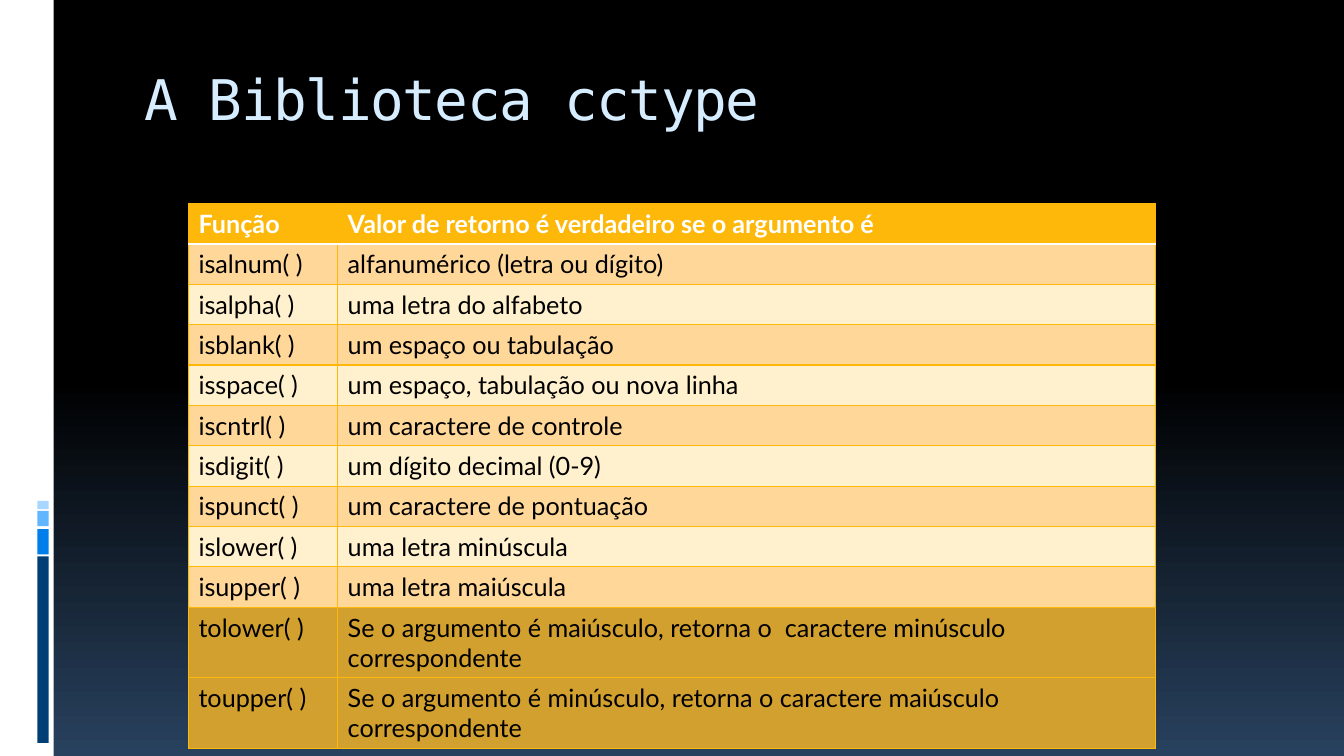
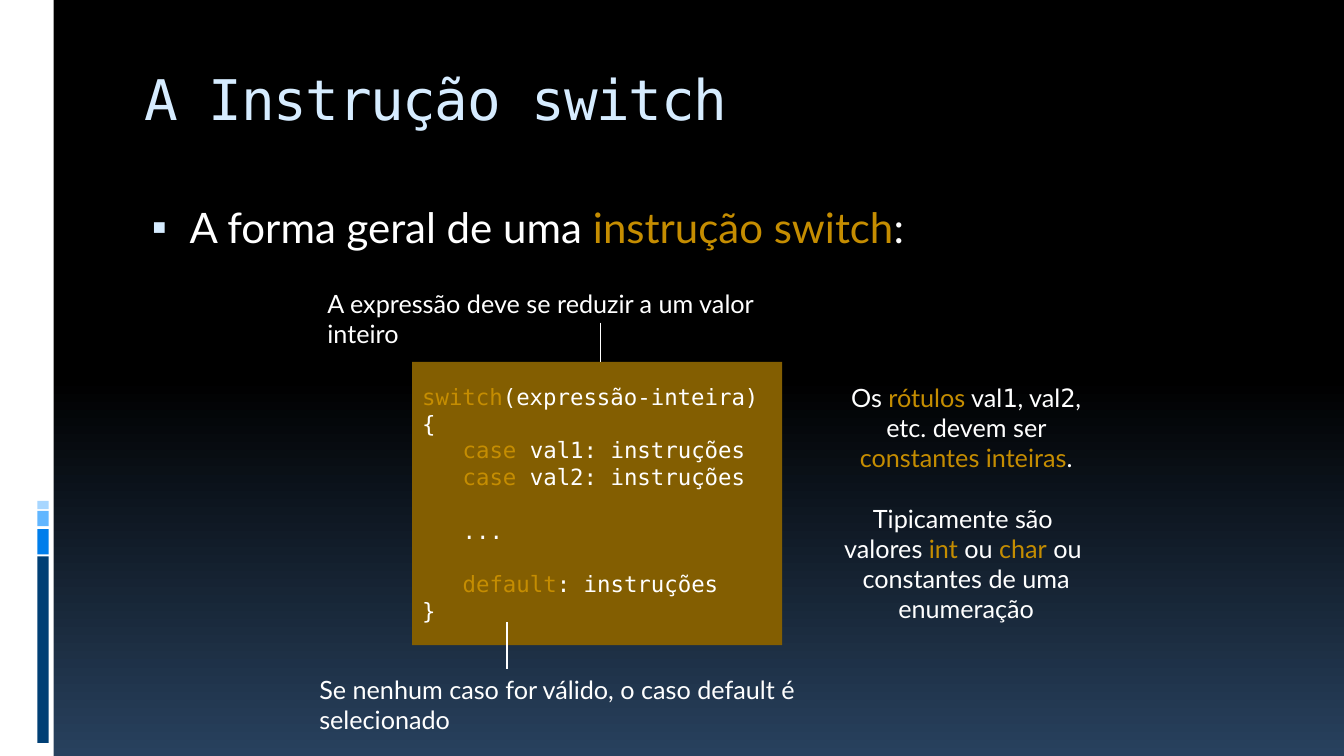
from lxml.etree import SubElement
from pptx import Presentation
from pptx.dml.color import RGBColor
from pptx.enum.shapes import MSO_CONNECTOR, MSO_SHAPE
from pptx.enum.text import MSO_ANCHOR, PP_ALIGN
from pptx.oxml.ns import qn
from pptx.util import Pt

WHITE = RGBColor(0xFF, 0xFF, 0xFF)
BLACK = RGBColor(0x00, 0x00, 0x00)
NIGHT_BLUE = RGBColor(0x28, 0x41, 0x5E)
PALE_BLUE = RGBColor(0xD6, 0xEC, 0xFF)
GOLD = RGBColor(0xC5, 0x8D, 0x01)
DARK_GOLD = RGBColor(0x83, 0x5E, 0x01)
AMBER = RGBColor(0xFE, 0xB8, 0x0A)
BAND_ORANGE = RGBColor(0xFF, 0xD7, 0x98)
BAND_CREAM = RGBColor(0xFF, 0xF1, 0xCE)
BAND_OCHRE = RGBColor(0xD2, 0xA0, 0x2E)

MONO = "DejaVu Sans Mono"
SANS = "Lato"
LINE_WIDTH = 0.94

# Side decoration: left, top, width, height, colour
SIDE_BARS = [
    (0, 0, 38.4, 540, WHITE),
    (26.8, 397.4, 8, 133.2, RGBColor(0x00, 0x3F, 0x75)),
    (26.8, 378, 8, 18, RGBColor(0x00, 0x7E, 0xEB)),
    (26.8, 365, 8, 10.8, RGBColor(0x61, 0xB6, 0xFF)),
    (26.8, 357.8, 8, 5.8, RGBColor(0xA7, 0xD6, 0xFF)),
]

TABLE_TITLE = "A Biblioteca cctype"
TABLE_HEADER = ("Função", "Valor de retorno é verdadeiro se o argumento é")
TEST_FUNCTIONS = [
    ("isalnum( )", "alfanumérico (letra ou dígito)"),
    ("isalpha( )", "uma letra do alfabeto"),
    ("isblank( )", "um espaço ou tabulação"),
    ("isspace( )", "um espaço, tabulação ou nova linha"),
    ("iscntrl( )", "um caractere de controle"),
    ("isdigit( )", "um dígito decimal (0-9)"),
    ("ispunct( )", "um caractere de pontuação"),
    ("islower( )", "uma letra minúscula"),
    ("isupper( )", "uma letra maiúscula"),
]
CASE_FUNCTIONS = [
    ("tolower( )", "Se o argumento é maiúsculo, retorna o  caractere minúsculo correspondente"),
    ("toupper( )", "Se o argumento é minúsculo, retorna o caractere maiúsculo correspondente"),
]
COLUMN_WIDTHS = (106.6, 584.2)
ROW_HEIGHT = 27.4

# A paragraph is (runs, options); a run is (text, format overrides)
KEYWORD = {"color": GOLD}
DIGIT = {"font": MONO}
INDENTED = {"left": 28.9}
AFTER_GAP = {"left": 28.9, "before": 19}

SWITCH_TITLE = "A Instrução switch"
LEAD = [([("A forma geral de uma ", {}), ("instrução switch", KEYWORD), (":", {})],
         {"left": 32.4, "first": -27.4, "before": 7, "bullet": "▪"})]
CODE = [
    ([("switch", KEYWORD), ("(expressão-inteira)", {})], {}),
    ([("{", {})], {}),
    ([("case", KEYWORD), (" val1: instruções", {})], INDENTED),
    ([("case", KEYWORD), (" val2: instruções", {})], INDENTED),
    ([("...", {})], AFTER_GAP),
    ([("default", KEYWORD), (": instruções", {})], AFTER_GAP),
    ([("}", {})], {}),
]
LABEL_NOTE = [
    ([("Os ", {}), ("rótulos", KEYWORD), (" val", {}), ("1", DIGIT), (", val", {}),
      ("2", DIGIT), (", etc. devem ser ", {}), ("constantes inteiras", KEYWORD),
      (".", {})], {}),
    ([("Tipicamente são \nvalores ", {}), ("int", KEYWORD), (" ou ", {}),
      ("char", KEYWORD), (" ou \nconstantes de uma enumeração", {})], {"before": 21.6}),
]
# Caption text and box: left, top, width, height
CAPTIONS = [
    ("A expressão deve se reduzir a um valor inteiro", (226.8, 202.3, 360.7, 28.8)),
    ("Se nenhum caso for válido, o caso default é selecionado", (221, 478.1, 430.6, 28.8)),
]
# Pointers: x, top, bottom
POINTERS = [(362.2, 444.2, 478.1), (429.1, 230.4, 258.5)]


def add_bullet(properties, character):
    """Give a paragraph a pale blue bullet."""
    color = SubElement(properties, qn("a:buClr"))
    SubElement(color, qn("a:srgbClr"), val=str(PALE_BLUE))
    SubElement(properties, qn("a:buSzPct"), val="95000")
    SubElement(properties, qn("a:buFont"), typeface=SANS)
    SubElement(properties, qn("a:buChar"), char=character)


def add_run(paragraph, text, font, size, color, bold, spacing):
    """Add one formatted run."""
    run = paragraph.add_run()
    run.text = text
    run.font.name = font
    run.font.size = Pt(size)
    run.font.color.rgb = color
    run.font.bold = bold
    if spacing:
        run.font._element.set("spc", str(spacing * 100))


def write_text(frame, content, font=SANS, size=18, color=WHITE, bold=False,
               spacing=0, align=PP_ALIGN.LEFT, anchor=MSO_ANCHOR.TOP):
    """Fill a text frame with a string or a list of paragraphs."""
    if isinstance(content, str):
        content = [([(content, {})], {})]
    frame.word_wrap = True
    frame.vertical_anchor = anchor
    base = {"font": font, "size": size, "color": color, "bold": bold, "spacing": spacing}
    for index, (runs, options) in enumerate(content):
        paragraph = frame.add_paragraph() if index else frame.paragraphs[0]
        paragraph.alignment = align
        paragraph.space_before = Pt(options.get("before", 0))
        properties = paragraph._p.get_or_add_pPr()
        properties.set("marL", str(Pt(options.get("left", 0))))
        properties.set("indent", str(Pt(options.get("first", 0))))
        if "bullet" in options:
            add_bullet(properties, options["bullet"])
        for text, overrides in runs:
            for number, line in enumerate(text.split("\n")):
                if number:
                    paragraph.add_line_break()
                add_run(paragraph, line, **{**base, **overrides})


def add_text(slide, box, content, **text_format):
    """Add a text box at left, top, width, height."""
    shape = slide.shapes.add_textbox(*map(Pt, box))
    write_text(shape.text_frame, content, **text_format)
    return shape


def add_rectangle(slide, box, color):
    """Add a plain filled rectangle."""
    shape = slide.shapes.add_shape(MSO_SHAPE.RECTANGLE, *map(Pt, box))
    shape.shadow.inherit = False
    shape.fill.solid()
    shape.fill.fore_color.rgb = color
    shape.line.fill.background()
    return shape


def add_pointer(slide, x, top, bottom):
    """Add a vertical white line."""
    line = slide.shapes.add_connector(
        MSO_CONNECTOR.STRAIGHT, Pt(x), Pt(top), Pt(x), Pt(bottom))
    line.line.color.rgb = WHITE
    line.line.width = Pt(LINE_WIDTH)
    SubElement(line._element.spPr, qn("a:effectLst"))


def add_titled_slide(presentation, title):
    """Add a slide with the shared background, side bars and title."""
    slide = presentation.slides.add_slide(presentation.slide_layouts[6])
    fill = slide.background.fill
    fill.gradient()
    fill.gradient_angle = 270
    for stop, position, color in zip(fill.gradient_stops, (0.5, 1), (BLACK, NIGHT_BLUE)):
        stop.position = position
        stop.color.rgb = color
    for *box, color in SIDE_BARS:
        add_rectangle(slide, box, color)
    title_box = add_text(slide, (96, 40.3, 816, 72), title, font=MONO, size=40,
                         color=PALE_BLUE, spacing=-1)
    title_box.text_frame.margin_top = Pt(6)
    return slide


def set_borders(cell, **sides):
    """Draw cell borders; each side is (colour, width)."""
    properties = cell._tc.get_or_add_tcPr()
    for position, side in enumerate(("lnL", "lnR", "lnT", "lnB")):
        color, width = sides.get(side, (AMBER, LINE_WIDTH))
        line = properties.makeelement(qn("a:" + side), {"w": str(Pt(width))})
        fill = SubElement(line, qn("a:solidFill"))
        SubElement(fill, qn("a:srgbClr"), val=str(color))
        properties.insert(position, line)


def add_function_table(slide):
    """Add the table of character functions."""
    rows = [TABLE_HEADER] + TEST_FUNCTIONS + CASE_FUNCTIONS
    bands = [BAND_ORANGE, BAND_CREAM]
    fills = ([AMBER] + [bands[i % 2] for i in range(len(TEST_FUNCTIONS))]
             + [BAND_OCHRE] * len(CASE_FUNCTIONS))
    table = slide.shapes.add_table(
        len(rows), len(COLUMN_WIDTHS), Pt(134.6), Pt(145.4),
        Pt(sum(COLUMN_WIDTHS)), Pt(ROW_HEIGHT * len(rows))).table
    table.horz_banding = False
    for column, width in zip(table.columns, COLUMN_WIDTHS):
        column.width = Pt(width)
    header_rule = {0: {"lnB": (WHITE, 1.5)}, 1: {"lnT": (WHITE, 1.5)}}
    for row_index, (texts, fill) in enumerate(zip(rows, fills)):
        table.rows[row_index].height = Pt(ROW_HEIGHT)
        is_header = row_index == 0
        for column_index, text in enumerate(texts):
            cell = table.cell(row_index, column_index)
            cell.fill.solid()
            cell.fill.fore_color.rgb = fill
            write_text(cell.text_frame, text, bold=is_header,
                       color=WHITE if is_header else BLACK)
            set_borders(cell, **header_rule.get(row_index, {}))


def add_switch_diagram(slide):
    """Add the annotated switch statement."""
    add_text(slide, (96, 140.4, 816, 360), LEAD, size=30)
    code_box = add_rectangle(slide, (294.5, 258.5, 264.2, 202.3), DARK_GOLD)
    write_text(code_box.text_frame, CODE, font=MONO, size=16, anchor=MSO_ANCHOR.MIDDLE)
    for text, box in CAPTIONS:
        add_text(slide, box, text)
    for pointer in POINTERS:
        add_pointer(slide, *pointer)
    add_text(slide, (587.5, 269.3, 205.2, 181.4), LABEL_NOTE, align=PP_ALIGN.CENTER)


def main():
    """Build and save the presentation."""
    presentation = Presentation()
    presentation.slide_width = Pt(960)
    presentation.slide_height = Pt(540)
    add_function_table(add_titled_slide(presentation, TABLE_TITLE))
    add_switch_diagram(add_titled_slide(presentation, SWITCH_TITLE))
    presentation.save("out.pptx")


main()
